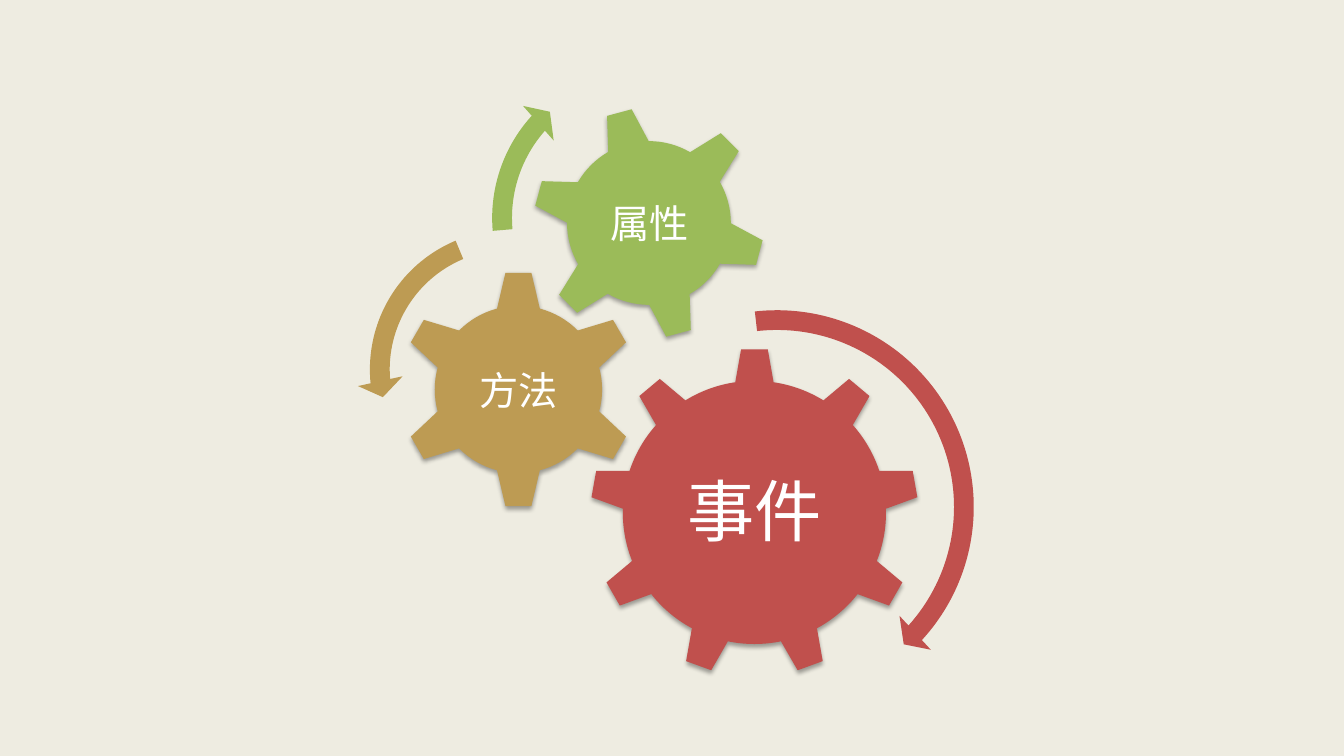
from dataclasses import dataclass

from lxml import etree
from pptx import Presentation
from pptx import util as u
from pptx.dml.color import RGBColor
from pptx.enum import shapes, text
from pptx.oxml import ns

PX = 914400 / 100.8


@dataclass(frozen=True)
class Theme:
    background: str = "EEECE1"
    event: str = "C0504D"
    method: str = "BD9B53"
    attribute: str = "9BBB59"
    label: str = "FFFFFF"
    shadow: str = "000000"
    font: str = "Noto Sans CJK SC"
    large: int = 48
    medium: int = 28


THEME = Theme()
KIND = shapes.MSO_SHAPE


def px(length):
    return u.Emu(round(length * PX))


def paint(fill, color):
    fill.solid()
    fill.fore_color.rgb = RGBColor.from_string(color)


def add_flat_shape(group, kind, left, top, size, color):
    """Add a square-framed preset shape with a fill, no line and no shadow."""
    shape = group.shapes.add_shape(kind, px(left), px(top), px(size), px(size))
    shape.shadow.inherit = False
    paint(shape.fill, color)
    shape.line.fill.background()
    return shape


def add_soft_shadow(shape):
    effects = shape._element.spPr.find(ns.qn("a:effectLst"))
    shadow = etree.SubElement(effects, ns.qn("a:outerShdw"), blurRad="40000",
                              dist="23000", dir="5400000", rotWithShape="0")
    color = etree.SubElement(shadow, ns.qn("a:srgbClr"), val=THEME.shadow)
    etree.SubElement(color, ns.qn("a:alpha"), val="35000")


def add_gear(group, kind, left, top, size, color, rotation=0):
    gear = add_flat_shape(group, kind, left, top, size, color)
    gear.rotation = rotation
    add_soft_shadow(gear)


def add_label(group, words, left, top, width, height, size, inset):
    box = group.shapes.add_textbox(px(left), px(top), px(width), px(height))
    frame = box.text_frame
    frame.word_wrap = True
    frame.vertical_anchor = text.MSO_ANCHOR.MIDDLE
    frame.margin_left = frame.margin_right = px(inset)
    frame.margin_top = frame.margin_bottom = px(inset)
    paragraph = frame.paragraphs[0]
    paragraph.alignment = text.PP_ALIGN.CENTER
    run = paragraph.add_run()
    run.text = words
    run.font.size = u.Pt(size)
    run.font.name = THEME.font
    run.font.color.rgb = RGBColor.from_string(THEME.label)
    etree.SubElement(run.font._element, ns.qn("a:ea"), typeface=THEME.font)


def add_turn_arrow(group, kind, left, top, size, color, band, head_angle, end, start, head):
    """Add a curved arrow; band and head are ratios, angles are in degrees."""
    arrow = add_flat_shape(group, kind, left, top, size, color)
    degree = 0.6  # adjustment units in one degree
    values = (band, head_angle * degree, end * degree, start * degree, head)
    for index, value in enumerate(values):
        arrow.adjustments[index] = value


def main():
    presentation = Presentation()
    presentation.slide_width, presentation.slide_height = px(1344), px(756)
    slide = presentation.slides.add_slide(presentation.slide_layouts[6])
    paint(slide.background.fill, THEME.background)
    group = slide.shapes.add_group_shape()

    add_gear(group, KIND.GEAR_9, 590, 348, 329, THEME.event)
    add_label(group, "事件", 656, 425, 197, 169, THEME.large, 7)
    add_gear(group, KIND.GEAR_6, 399, 270, 239, THEME.method)
    add_label(group, "方法", 459, 331, 119, 118, THEME.medium, 4)
    add_gear(group, KIND.GEAR_6, 532, 106, 234, THEME.attribute, rotation=345)
    add_label(group, "属性", 584, 157, 131, 131, THEME.medium, 4)

    add_turn_arrow(group, KIND.CIRCULAR_ARROW, 567, 297, 420, THEME.event,
                   0.047, 4.98, 42.32, 263.54, 0.055)
    add_turn_arrow(group, KIND.LEFT_CIRCULAR_ARROW, 357, 217, 305, THEME.method,
                   0.065, 7.17, 174.82, 247.3, 0.075)
    add_turn_arrow(group, KIND.CIRCULAR_ARROW, 479, 53, 330, THEME.attribute,
                   0.06, 6.57, 221.9, 175.14, 0.07)

    presentation.save("out.pptx")


if __name__ == "__main__":
    main()
